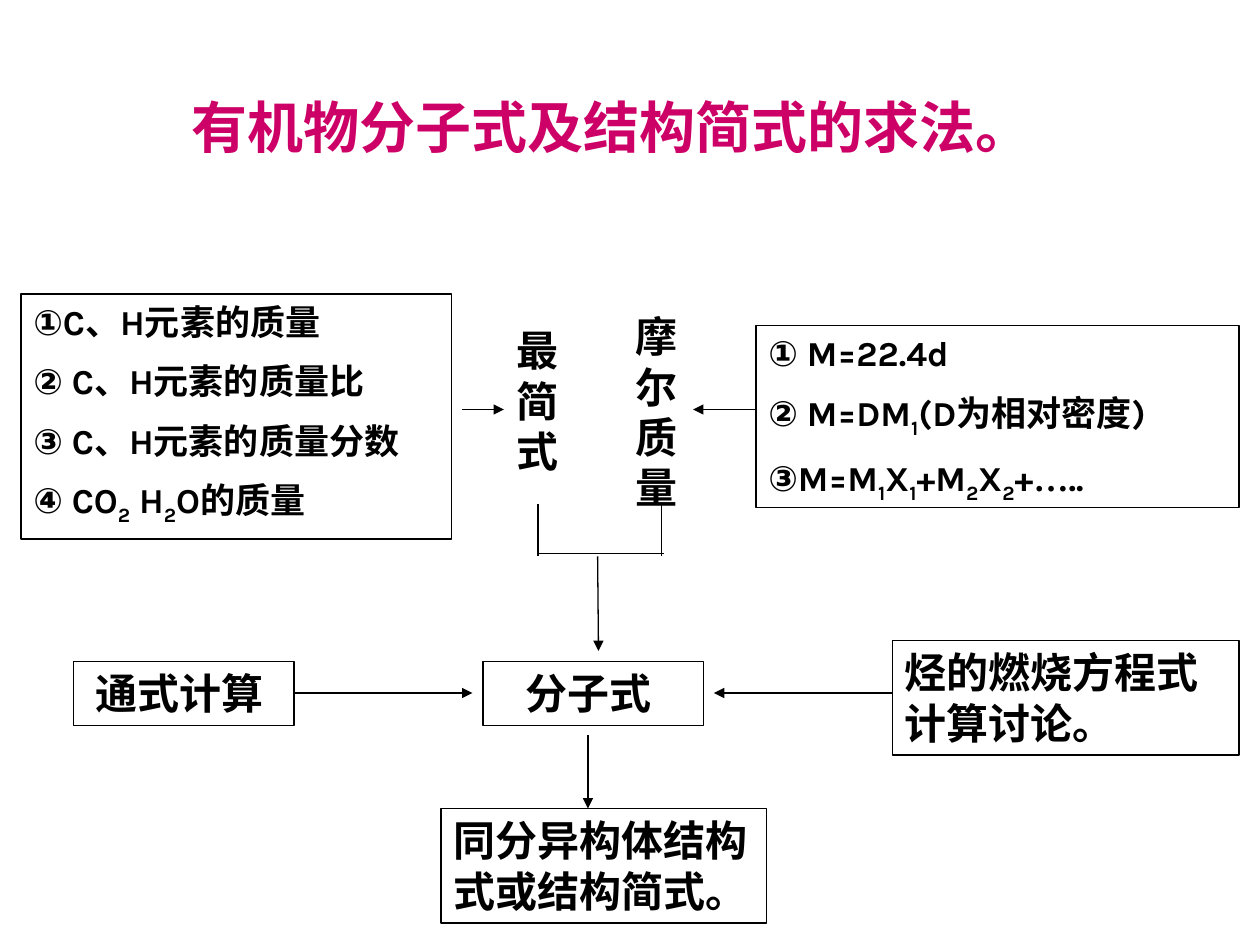
from pptx import Presentation
from pptx import util as u
from pptx.dml.color import RGBColor
from pptx.enum import shapes, text
from pptx.oxml.ns import qn
from lxml import etree

HUES = {"title": "CC0066", "ink": "000000"}
FACE = "Karla"


class Chart:
    """House style plus the slide being drawn; all lengths in points."""

    def __init__(self, deck):
        self.slide = deck.slides.add_slide(deck.slide_layouts[5])

    def hue(self, name):
        return RGBColor.from_string(HUES[name])

    def letter(self, shape, lines, size, hue="ink", indent=0):
        # "|" parts the runs of a line; a run led by "_" is a subscript
        frame = shape.text_frame
        frame.word_wrap = True
        frame.auto_size = text.MSO_AUTO_SIZE.NONE
        frame.vertical_anchor = text.MSO_ANCHOR.TOP
        frame.margin_left = u.Pt(7.2 + indent)
        for i, line in enumerate(lines):
            para = frame.add_paragraph() if i else frame.paragraphs[0]
            para.alignment = text.PP_ALIGN.LEFT
            para.space_before = u.Pt(size / 2 if i else 0)
            font = para.font
            font.name, font.size, font.bold = FACE, u.Pt(size), True
            font.color.rgb = self.hue(hue)
            for part in line.split("|"):
                run = para.add_run()
                run.text = part.lstrip("_")
                if part.startswith("_"):
                    run.font._element.set("baseline", "-25000")
                if part == "…":
                    run.font.name = "Times New Roman"

    def title(self, words, *area):
        shape = self.slide.shapes.title
        shape.left, shape.top, shape.width, shape.height = map(u.Pt, area)
        self.letter(shape, [words], 32, "title")

    def label(self, words, *area):
        self.letter(self.slide.shapes.add_textbox(*map(u.Pt, area)), [words], 24)

    def box(self, lines, *area, size=24, indent=0):
        shape = self.slide.shapes.add_shape(
            shapes.MSO_SHAPE.RECTANGLE, *map(u.Pt, area))
        shape.shadow.inherit = False
        shape.fill.background()
        shape.line.color.rgb = self.hue("ink")
        shape.line.width = u.Pt(0.75)
        self.letter(shape, lines, size, indent=indent)

    def line(self, *ends, width=0.75, head=False):
        link = self.slide.shapes.add_connector(
            shapes.MSO_CONNECTOR.STRAIGHT, *map(u.Pt, ends))
        link.line.color.rgb = self.hue("ink")
        link.line.width = u.Pt(width)
        props = link._element.spPr
        if head:
            etree.SubElement(props.find(qn("a:ln")), qn("a:tailEnd"),
                             type="triangle")
        etree.SubElement(props, qn("a:effectLst"))

    def arrow(self, *ends, width=0.75):
        self.line(*ends, width=width, head=True)


def main():
    deck = Presentation()
    deck.slide_width, deck.slide_height = u.Pt(720), u.Pt(540)
    flow = Chart(deck)
    flow.title("有机物分子式及结构简式的求法。", 102, 49, 588, 45)

    # Ways to the simplest formula
    flow.box(["①C、H元素的质量", "② C、H元素的质量比", "③ C、H元素的质量分数",
              "④ CO|_2| H|_2|O的质量"], 12, 168, 246, 140, size=20)
    flow.arrow(264, 234, 288, 234)
    flow.label("最简式", 288, 182, 42, 94)

    # Ways to the molar mass
    flow.label("摩尔质量", 356, 174, 52.5, 122)
    flow.box(["① M=22.4d", "② M=DM|_1|(D为相对密度)",
              "③M=M|_1|X|_1|+M|_2|X|_2|+|…|.."], 432, 186, 276, 104, size=20)
    flow.arrow(432, 234, 396, 234)

    # Bracket joining both into the molecular formula
    for x in (307.5, 378):
        flow.line(x, 288, x, 318)
    flow.line(307.5, 316.5, 379.5, 316.5)
    flow.arrow(341.5, 318, 342, 372)

    # Molecular formula and its side inputs
    flow.box(["分子式"], 276, 378, 126, 36.5, indent=17)
    flow.box(["通式计算"], 42, 378, 126, 36.5, indent=5.5)
    flow.arrow(168, 396, 270, 396, width=1.5)
    flow.box(["烃的燃烧方程式计算讨论。"], 510, 366, 198, 65.5)
    flow.arrow(510, 396, 408, 396)

    # Result
    flow.arrow(336, 420, 336, 462)
    flow.box(["同分异构体结构式或结构简式。"], 252, 462, 186, 65.5)

    deck.save("out.pptx")


if __name__ == "__main__":
    main()
